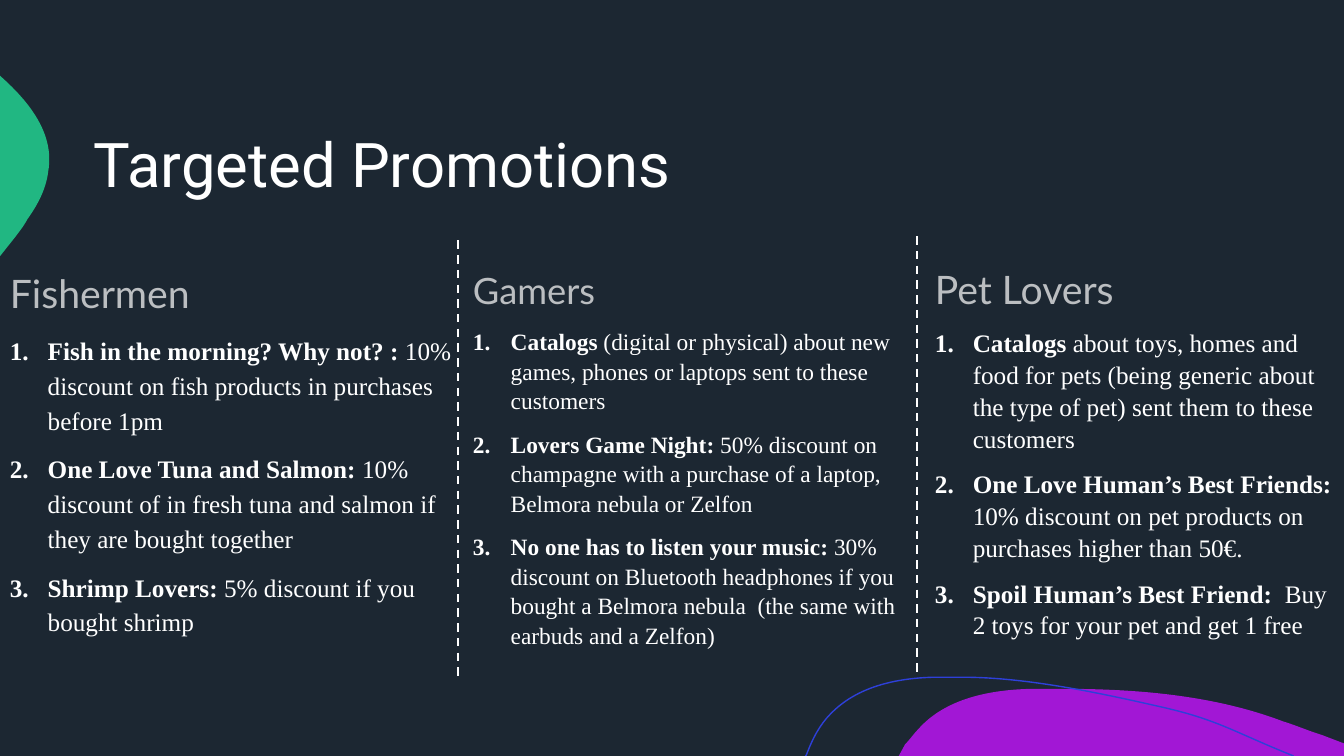
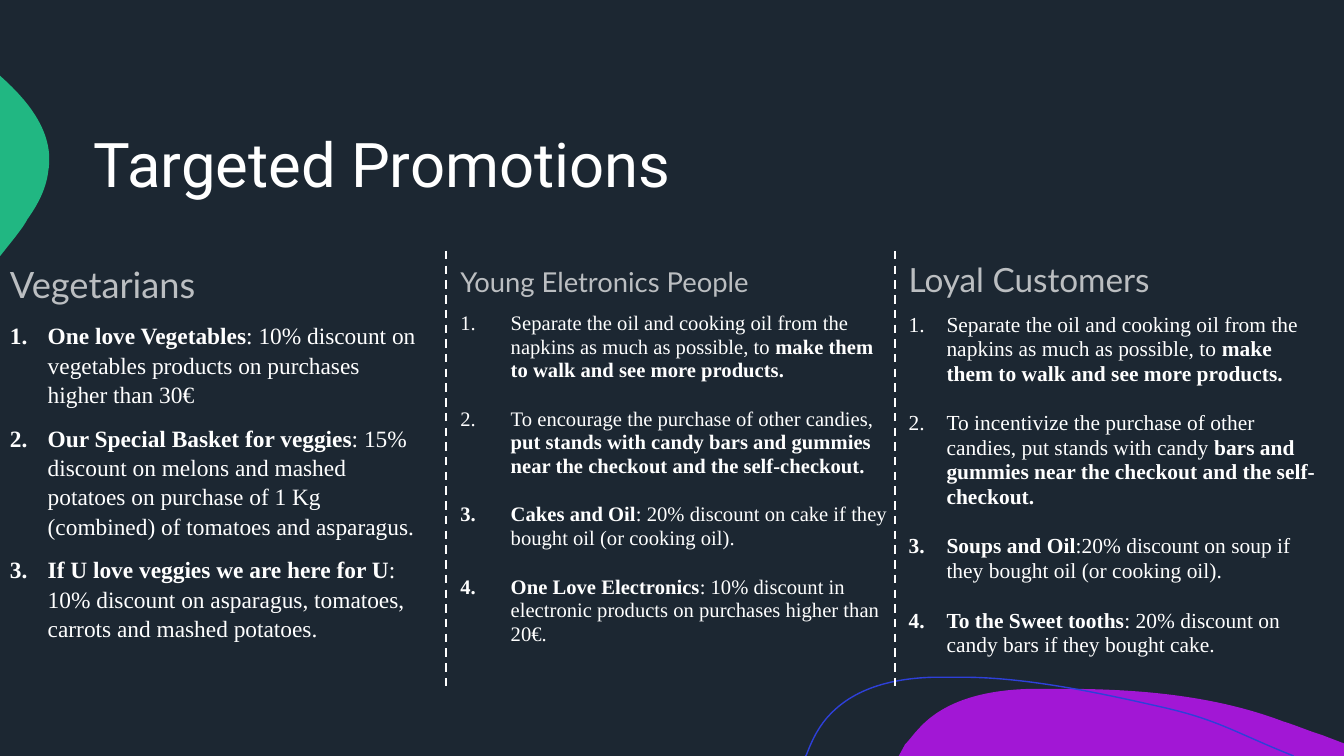
from lxml.etree import SubElement
from pptx import Presentation
from pptx.dml.color import RGBColor
from pptx.enum.dml import MSO_LINE
from pptx.enum.shapes import MSO_CONNECTOR
from pptx.enum.text import MSO_ANCHOR
from pptx.oxml.ns import qn
from pptx.util import Pt

PX = 9525  # EMU in one px, 96 px to the inch

COLORS = {
    "back": "1C2732",
    "text": "FFFFFF",
    "head": "BBBEC1",
    "purple": "A217D5",
    "green": "21B782",
    "blue": "2E40D9",
}

# Each blob: fill, line, start point, then lines (2 numbers) or curves (6).
BLOBS = [
    ("purple", None, (1012, 656), [
        (1083, 656, 1156, 662, 1222, 687),
        (1235, 691, 1246, 696, 1259, 700),
        (1280, 708), (1280, 720), (856, 720), (862, 709),
        (867, 704, 870, 699, 875, 694),
        (901, 665, 943, 657, 982, 656),
        (992, 656, 1002, 656, 1012, 656),
    ]),
    ("green", None, (0, 72), [
        (1, 73),
        (29, 98, 52, 128, 46, 163),
        (44, 180, 36, 195, 26, 209),
        (23, 215, 16, 224, 8, 234),
        (0, 244),
    ]),
    (None, "blue", (767, 720), [
        (768, 719),
        (774, 703, 781, 690, 791, 680),
        (816, 654, 853, 646, 889, 645),
        (917, 645),
        (981, 645, 1056, 662, 1109, 674),
        (1161, 686, 1177, 698, 1232, 720),
    ]),
]

# Each slide: dashed rules as (x, top, bottom), then its columns.
# Each run of an item is (text, bold).
SLIDES = [
    {
        "rules": [(436, 229, 646), (873, 225, 641)],
        "cols": [
            {
                "box": (0, 241, 441, 401), "indent": 36, "after": 0,
                "head": ("Fishermen", 28, 1.25), "body": (18, 1.15),
                "items": [
                    [("Fish in the morning? Why not? : ", True),
                     ("10% discount on fish products in purchases before 1pm", False)],
                    [("One Love Tuna and Salmon: ", True),
                     ("10% discount of in fresh tuna and salmon if they are bought together", False)],
                    [("Shrimp Lovers: ", True),
                     ("5% discount if you bought shrimp", False)],
                ],
            },
            {
                "box": (441, 245, 441, 401), "indent": 36, "after": 0,
                "head": ("Gamers", 25.9, 1.15), "body": (16.7, 1.05),
                "items": [
                    [("Catalogs", True),
                     (" (digital or physical) about new games, phones or laptops sent to these customers", False)],
                    [("Lovers Game Night: ", True),
                     ("50% discount on champagne with a purchase of a laptop, Belmora nebula or Zelfon", False)],
                    [("No one has to listen your music: ", True),
                     ("30% discount on Bluetooth headphones if you bought a Belmora nebula  (the same with earbuds and a Zelfon)", False)],
                ],
            },
            {
                "box": (881, 241, 399, 401), "indent": 36, "after": 0,
                "head": ("Pet Lovers", 28, 1.15), "body": (18, 1.05),
                "items": [
                    [("Catalogs", True),
                     (" about toys, homes and food for pets (being generic about the type of pet) sent them to these customers", False)],
                    [("One Love Human’s Best Friends: ", True),
                     ("10% discount on pet products on purchases higher than 50€.", False)],
                    [("Spoil Human’s Best Friend: ", True),
                     (" Buy 2 toys for your pet and get 1 free", False)],
                ],
            },
        ],
    },
    {
        "rules": [(425, 239, 656), (852, 239, 656)],
        "cols": [
            {
                "box": (0, 239, 412, 401), "indent": 36, "after": 0,
                "head": ("Vegetarians", 25.9, 1.15), "body": (16.7, 1.05),
                "items": [
                    [("One love Vegetables", True),
                     (": 10% discount on vegetables products on purchases higher than 30€", False)],
                    [("Our Special Basket for veggies", True),
                     (": 15% discount on melons and mashed potatoes on purchase of 1 Kg (combined) of tomatoes and asparagus.", False)],
                    [("If U love veggies we are here for U", True),
                     (": 10% discount on asparagus, tomatoes, carrots and mashed potatoes.", False)],
                ],
            },
            {
                "box": (429, 246, 427, 420), "indent": 48, "after": 8,
                "head": ("Young Eletronics People", 19.6, 1.05), "body": (14.7, 0.95),
                "items": [
                    [("Separate the oil and cooking oil from the napkins as much as possible, to ", False),
                     ("make them to walk and see more products.", True)],
                    [("To encourage the purchase of other candies, ", False),
                     ("put stands with candy bars and gummies near the checkout and the self-checkout.", True)],
                    [("Cakes and Oil", True),
                     (": 20% discount on cake if they bought oil (or cooking oil).", False)],
                    [("One Love Electronics", True),
                     (": 10% discount in electronic products on purchases higher than 20€.", False)],
                ],
            },
            {
                "box": (856, 240, 412, 419), "indent": 36, "after": 8,
                "head": ("Loyal Customers", 23.8, 1.05), "body": (15.3, 0.95),
                "items": [
                    [("Separate the oil and cooking oil from the napkins as much as possible, to", False),
                     (" make them to walk and see more products.", True)],
                    [("To incentivize the purchase of other candies, put stands with candy ", False),
                     ("bars and gummies near the checkout and the self-checkout.", True)],
                    [("Soups and Oil", True),
                     (":20% discount on soup if they bought oil (or cooking oil).", False)],
                    [("To the Sweet tooths", True),
                     (": 20% discount on candy bars if they bought cake.", False)],
                ],
            },
        ],
    },
]


def outline(shapes, start, parts, close):
    """Add a freeform, then join each three points of a curve into a Bezier."""
    pen = shapes.build_freeform(start[0], start[1], PX)
    spots = [part[n:n + 2] for part in parts for n in range(0, len(part), 2)]
    pen.add_line_segments(spots, close=close)
    blob = pen.convert_to_shape()
    path = next(blob._element.iter(qn("a:path")))
    lines = iter(path.findall(qn("a:lnTo")))
    for part in parts:
        line = next(lines)
        if len(part) == 6:
            line.tag = qn("a:cubicBezTo")
            for more in (next(lines), next(lines)):
                line.append(more[0])
                path.remove(more)
    return blob


def style(run, face, size, color, bold=False):
    run.font.name = face
    run.font.size = Pt(size)
    run.font.bold = bold
    run.font.color.rgb = RGBColor.from_string(COLORS[color])


deck = Presentation()
deck.slide_width = 1280 * PX
deck.slide_height = 720 * PX
back = deck.slide_master.background.fill
back.solid()
back.fore_color.rgb = RGBColor.from_string(COLORS["back"])

for page in SLIDES:
    slide = deck.slides.add_slide(deck.slide_layouts[6])
    shapes = slide.shapes

    for fill, line, start, parts in BLOBS:
        blob = outline(shapes, start, parts, bool(fill))
        blob.shadow.inherit = False
        if fill:
            blob.fill.solid()
            blob.fill.fore_color.rgb = RGBColor.from_string(COLORS[fill])
            blob.line.fill.background()
        else:
            blob.fill.background()
            blob.line.color.rgb = RGBColor.from_string(COLORS[line])
            blob.line.width = Pt(1)

    frame = shapes.add_textbox(80 * PX, 80 * PX, 1120 * PX, 160 * PX).text_frame
    frame.word_wrap = True
    frame.vertical_anchor = MSO_ANCHOR.MIDDLE
    frame.text = "Targeted Promotions"
    title = frame.paragraphs[0]
    title.line_spacing = 0.9
    style(title.runs[0], "Roboto", 44, "text")

    for col in page["cols"]:
        frame = shapes.add_textbox(*[n * PX for n in col["box"]]).text_frame
        frame.word_wrap = True
        name, size, space = col["head"]
        frame.text = name
        head = frame.paragraphs[0]
        head.line_spacing = space
        style(head.runs[0], "Lato", size, "head")

        size, space = col["body"]
        for item in col["items"]:
            para = frame.add_paragraph()
            para.line_spacing = space
            para.space_before = Pt(10)
            para.space_after = Pt(col["after"])
            props = para._p.get_or_add_pPr()
            props.set("marL", str(col["indent"] * PX))
            props.set("indent", str(-col["indent"] * PX))
            SubElement(props, qn("a:buAutoNum"), type="arabicPeriod")
            for text, bold in item:
                run = para.add_run()
                run.text = text
                style(run, "Times New Roman", size, "text", bold)

    for x, top, bottom in page["rules"]:
        rule = shapes.add_connector(
            MSO_CONNECTOR.STRAIGHT, x * PX, top * PX, x * PX, bottom * PX)
        rule.line.color.rgb = RGBColor.from_string(COLORS["text"])
        rule.line.width = Pt(1.5)
        rule.line.dash_style = MSO_LINE.DASH
        SubElement(rule._element.spPr, qn("a:effectLst"))

deck.save("out.pptx")
